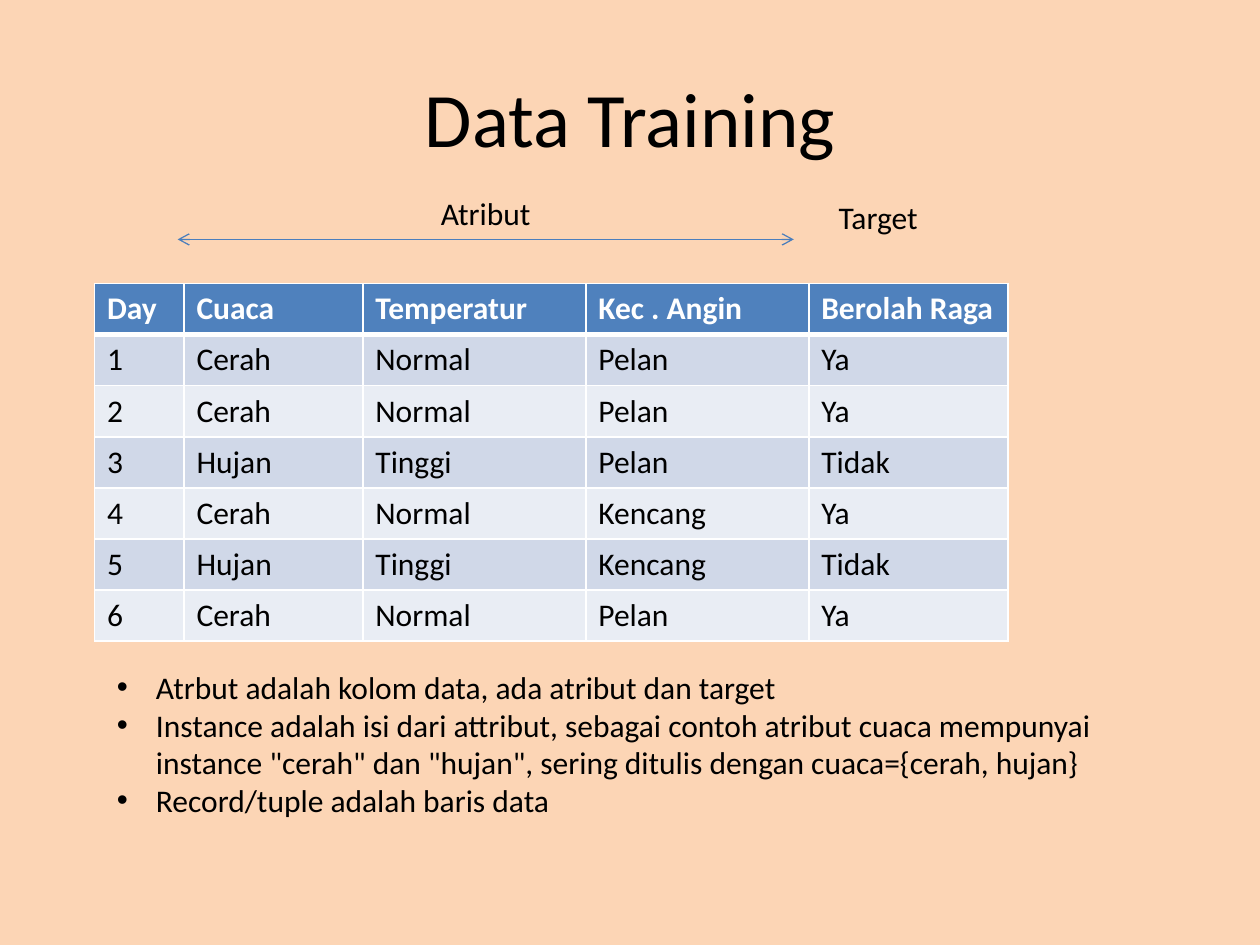
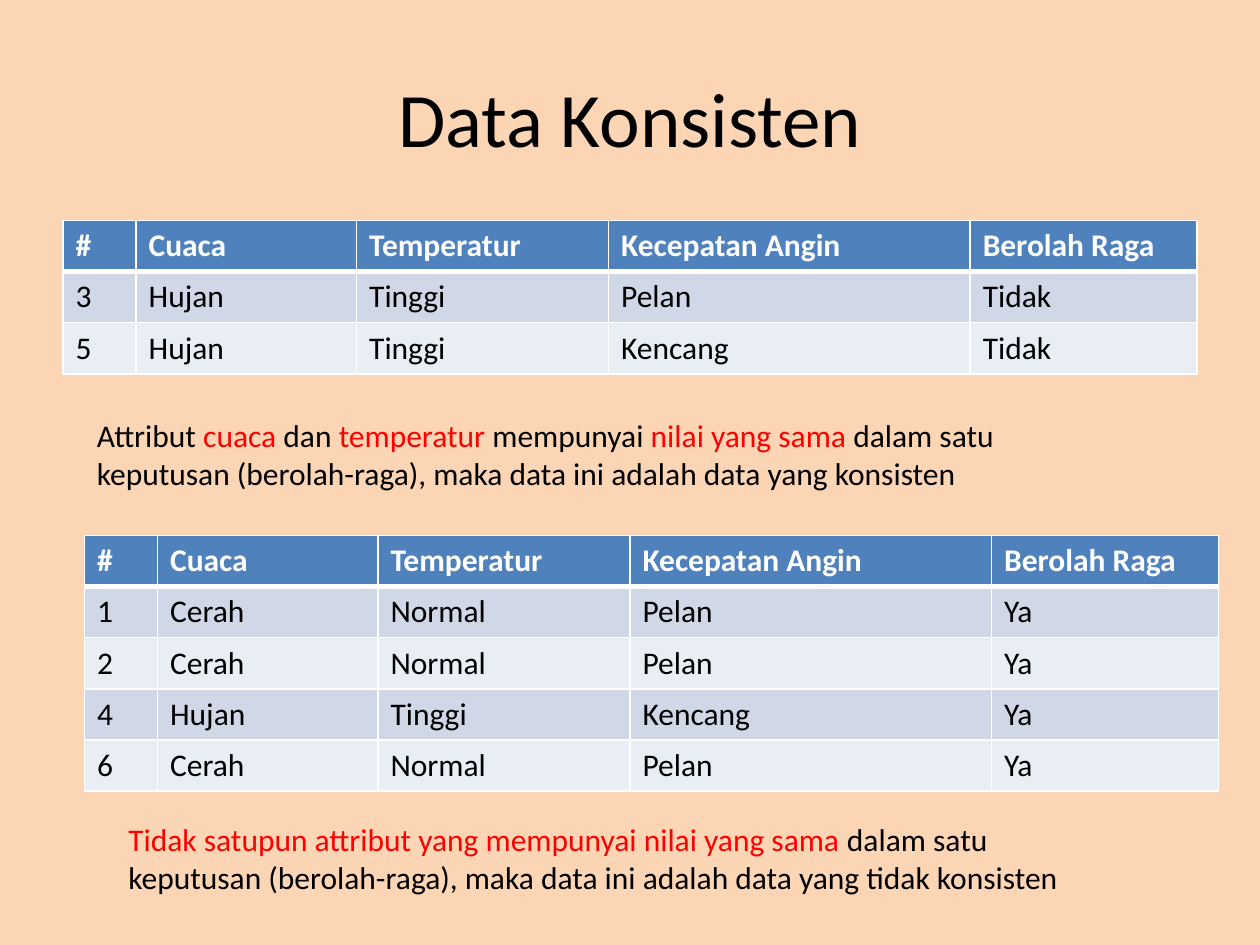
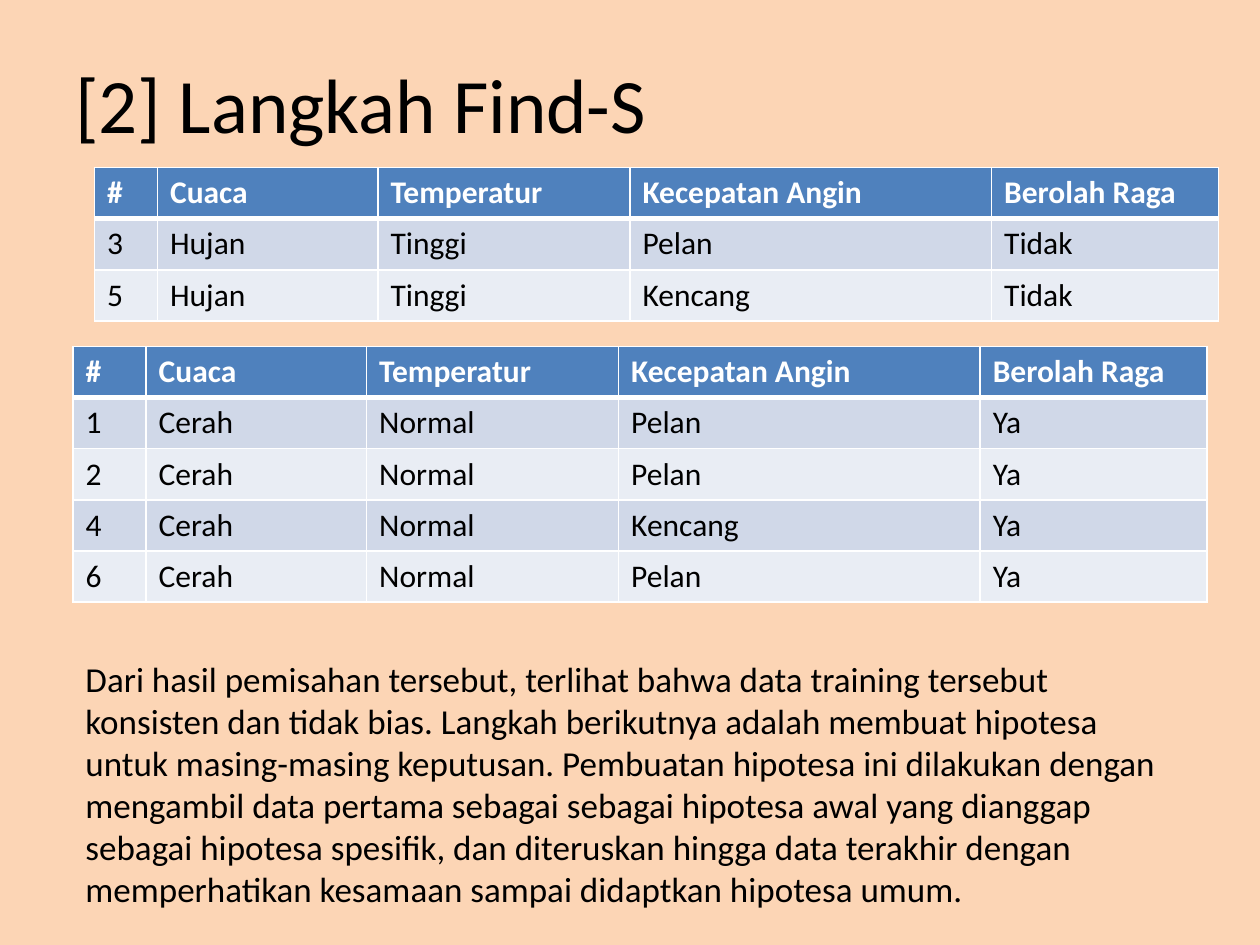
from lxml import etree
from pptx import Presentation
from pptx import util as u
from pptx.dml.color import RGBColor
from pptx.enum import shapes, text
from pptx.oxml import ns

Inches, Pt = u.Inches, u.Pt

PEACH = RGBColor(0xFC, 0xD5, 0xB5)
BLACK = RGBColor(0, 0, 0)
WHITE = RGBColor(0xFF, 0xFF, 0xFF)
RED = RGBColor(0xFF, 0, 0)
HEADER_BLUE = RGBColor(0x4F, 0x81, 0xBD)
ARROW_BLUE = RGBColor(0x4B, 0x7E, 0xBC)
BAND_DARK = RGBColor(0xD0, 0xD8, 0xE8)
BAND_LIGHT = RGBColor(0xE9, 0xED, 0xF4)

FONT = "Calibri"
ROW_HEIGHT = 2.84 / 7
TITLE_BOX = (0.5, 0.3, 9, 1.25)
BULLET_INDENT = 0.31

TRAINING_HEADER = ("Day", "Cuaca", "Temperatur", "Kec . Angin", "Berolah Raga")
TRAINING_COLUMNS = (0.71, 1.42, 1.77, 1.77, 1.58)
DECISION_HEADER = ("#", "Cuaca", "Temperatur", "Kecepatan Angin", "Berolah Raga")
DECISION_COLUMNS = (0.58, 1.75, 2, 2.87, 1.8)

RECORDS = [
    ("1", "Cerah", "Normal", "Pelan", "Ya"),
    ("2", "Cerah", "Normal", "Pelan", "Ya"),
    ("3", "Hujan", "Tinggi", "Pelan", "Tidak"),
    ("4", "Cerah", "Normal", "Kencang", "Ya"),
    ("5", "Hujan", "Tinggi", "Kencang", "Tidak"),
    ("6", "Cerah", "Normal", "Pelan", "Ya"),
]
NO_RECORDS = [record for record in RECORDS if record[-1] == "Tidak"]
YES_RECORDS = [record for record in RECORDS if record[-1] == "Ya"]
INCONSISTENT_RECORDS = [
    ("4", "Hujan", "Tinggi", "Kencang", "Ya") if record[0] == "4" else record
    for record in YES_RECORDS
]

DEFINITIONS = [
    "Atrbut adalah kolom data, ada atribut dan target",
    "Instance adalah isi dari attribut, sebagai contoh atribut cuaca mempunyai "
    "instance \"cerah\" dan \"hujan\", sering ditulis dengan cuaca={cerah, hujan}",
    "Record/tuple adalah baris data",
]
CONSISTENT_NOTE = [
    ("Attribut ", BLACK), ("cuaca", RED), (" dan ", BLACK),
    ("temperatur ", RED), ("mempunyai ", BLACK), ("nilai yang sama ", RED),
    ("dalam satu keputusan (berolah-raga), maka data ini adalah data yang "
     "konsisten", BLACK),
]
INCONSISTENT_NOTE = [
    ("Tidak satupun attribut yang mempunyai nilai yang sama ", RED),
    ("dalam satu keputusan (berolah-raga), maka data ini adalah data yang "
     "tidak konsisten", BLACK),
]
HYPOTHESIS_NOTE = (
    "Dari hasil pemisahan tersebut, terlihat bahwa data training tersebut "
    "konsisten dan tidak bias. Langkah berikutnya adalah membuat hipotesa "
    "untuk masing-masing keputusan. Pembuatan hipotesa ini dilakukan dengan "
    "mengambil data pertama sebagai sebagai hipotesa awal yang dianggap "
    "sebagai hipotesa spesifik, dan diteruskan hingga data terakhir dengan "
    "memperhatikan kesamaan sampai didaptkan hipotesa umum."
)


def set_font(paragraph, size, color=None, bold=False):
    font = paragraph.font
    font.name, font.size, font.bold = FONT, Pt(size), bold
    if color is not None:
        font.color.rgb = color


def add_text(slide, box, paragraphs, size=18, align=text.PP_ALIGN.LEFT,
             anchor=text.MSO_ANCHOR.TOP, bulleted=False):
    frame = slide.shapes.add_textbox(*map(Inches, box)).text_frame
    frame.word_wrap = True
    frame.vertical_anchor = anchor
    for index, content in enumerate(paragraphs):
        paragraph = frame.add_paragraph() if index else frame.paragraphs[0]
        paragraph.alignment = align
        if bulleted:
            add_bullet(paragraph)
        if isinstance(content, str):
            paragraph.text = content
            set_font(paragraph, size, BLACK)
            continue
        set_font(paragraph, size)
        for wording, color in content:
            run = paragraph.add_run()
            run.text = wording
            run.font.color.rgb = color


def add_bullet(paragraph):
    properties = paragraph._p.get_or_add_pPr()
    properties.set("marL", str(Inches(BULLET_INDENT)))
    properties.set("indent", str(-Inches(BULLET_INDENT)))
    etree.SubElement(properties, ns.qn("a:buFont"), typeface="Arial")
    etree.SubElement(properties, ns.qn("a:buChar"), char="•")


def add_title(slide, wording, box=TITLE_BOX, align=text.PP_ALIGN.CENTER):
    add_text(slide, box, [wording], 44, align, text.MSO_ANCHOR.MIDDLE)


def add_borders(cell, top, bottom):
    properties = cell._tc.get_or_add_tcPr()
    for side, width in (("L", 1), ("R", 1), ("T", top), ("B", bottom)):
        line = etree.SubElement(properties, ns.qn(f"a:ln{side}"), w=str(Pt(width)))
        fill = etree.SubElement(line, ns.qn("a:solidFill"))
        etree.SubElement(fill, ns.qn("a:srgbClr"), val=str(WHITE))


def add_records(slide, left, top, header, columns, records):
    rows = [header, *records]
    table = slide.shapes.add_table(
        len(rows), len(columns), Inches(left), Inches(top),
        Inches(sum(columns)), Inches(ROW_HEIGHT * len(rows))).table
    for column, width in zip(table.columns, columns):
        column.width = Inches(width)
    for row_index, row in enumerate(rows):
        is_header = row_index == 0
        band = BAND_DARK if row_index % 2 else BAND_LIGHT
        for column_index, value in enumerate(row):
            cell = table.cell(row_index, column_index)
            add_borders(cell, 3 if row_index == 1 else 1, 3 if is_header else 1)
            cell.fill.solid()
            cell.fill.fore_color.rgb = HEADER_BLUE if is_header else band
            cell.text = value
            set_font(cell.text_frame.paragraphs[0], 18,
                     WHITE if is_header else BLACK, is_header)


def add_double_arrow(slide, left, right, y):
    arrow = slide.shapes.add_connector(
        shapes.MSO_CONNECTOR.STRAIGHT,
        Inches(left), Inches(y), Inches(right), Inches(y))
    arrow.line.color.rgb = ARROW_BLUE
    arrow.line.width = Pt(0.75)
    line = arrow.line._get_or_add_ln()
    for end in ("headEnd", "tailEnd"):
        etree.SubElement(line, ns.qn(f"a:{end}"), type="arrow")
    etree.SubElement(arrow._element.spPr, ns.qn("a:effectLst"))


def add_slide(deck):
    slide = deck.slides.add_slide(deck.slide_layouts[6])
    slide.background.fill.solid()
    slide.background.fill.fore_color.rgb = PEACH
    return slide


def build_training(slide):
    add_title(slide, "Data Training")
    add_records(slide, 0.75, 2.25, TRAINING_HEADER, TRAINING_COLUMNS, RECORDS)
    add_text(slide, (1.48, 1.49, 4.75, 0.4), ["Atribut"],
             align=text.PP_ALIGN.CENTER)
    add_text(slide, (6.26, 1.52, 1.42, 0.4), ["Target"],
             align=text.PP_ALIGN.CENTER)
    add_double_arrow(slide, 1.41, 6.3, 1.9)
    add_text(slide, (0.83, 5.25, 8.33, 1.31), DEFINITIONS, bulleted=True)


def build_consistency(slide):
    add_title(slide, "Data Konsisten")
    add_records(slide, 0.5, 1.75, DECISION_HEADER, DECISION_COLUMNS, NO_RECORDS)
    add_text(slide, (0.67, 3.25, 8.42, 0.71), [CONSISTENT_NOTE])
    add_records(slide, 0.67, 4.25, DECISION_HEADER, DECISION_COLUMNS,
                INCONSISTENT_RECORDS)
    add_text(slide, (0.92, 6.46, 7.78, 0.71), [INCONSISTENT_NOTE])


def build_find_s(slide):
    add_title(slide, "[2] Langkah Find-S", (0.5, 0.3, 9, 1.03),
              text.PP_ALIGN.LEFT)
    add_records(slide, 0.75, 1.33, DECISION_HEADER,
                (0.5, *DECISION_COLUMNS[1:]), NO_RECORDS)
    add_records(slide, 0.58, 2.75, DECISION_HEADER, DECISION_COLUMNS, YES_RECORDS)
    add_text(slide, (0.58, 5.17, 8.75, 2.12), [HYPOTHESIS_NOTE], 20)


def main():
    deck = Presentation()
    deck.slide_width, deck.slide_height = Inches(10), Inches(7.5)
    for build in (build_training, build_consistency, build_find_s):
        build(add_slide(deck))
    deck.save("out.pptx")


if __name__ == "__main__":
    main()
